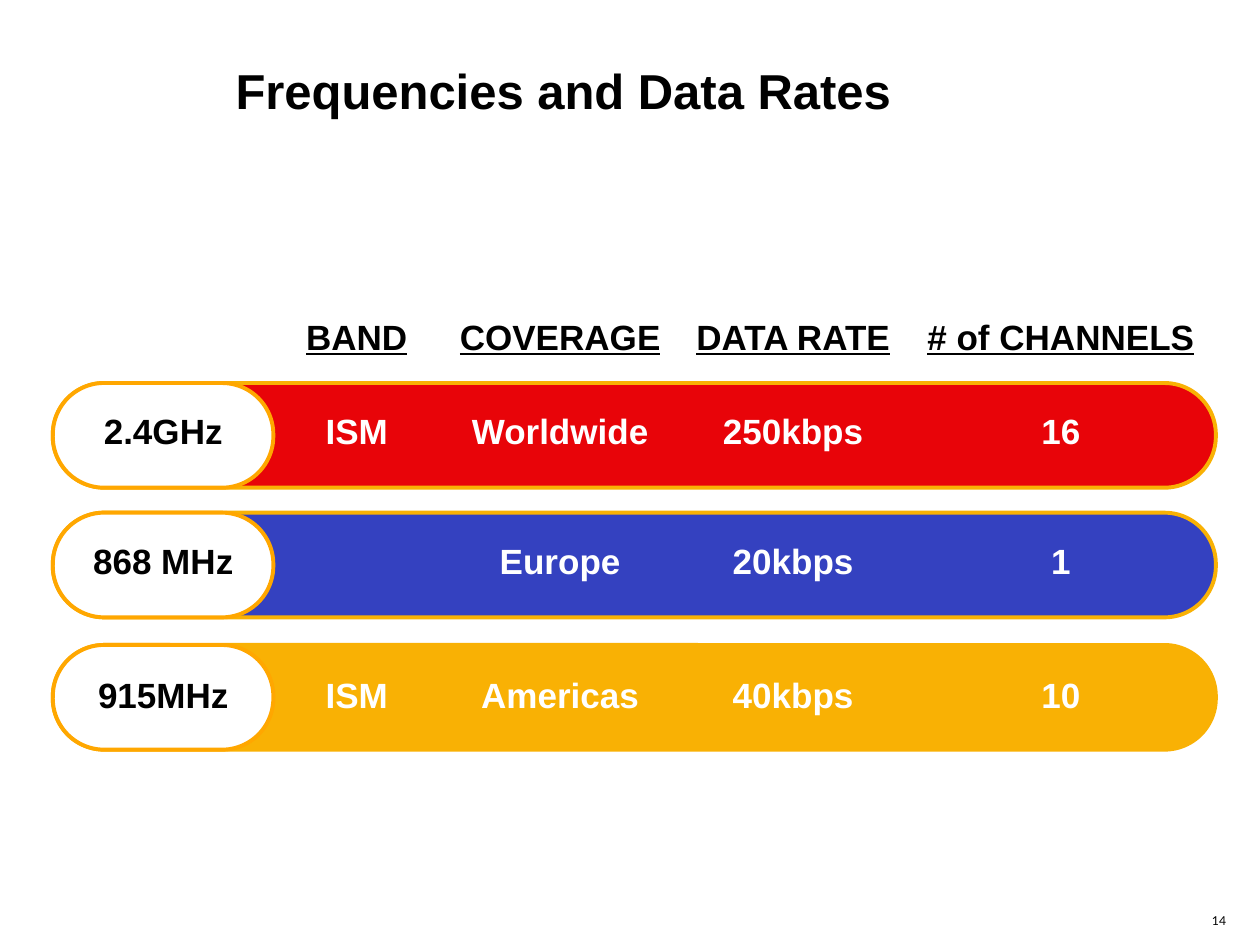
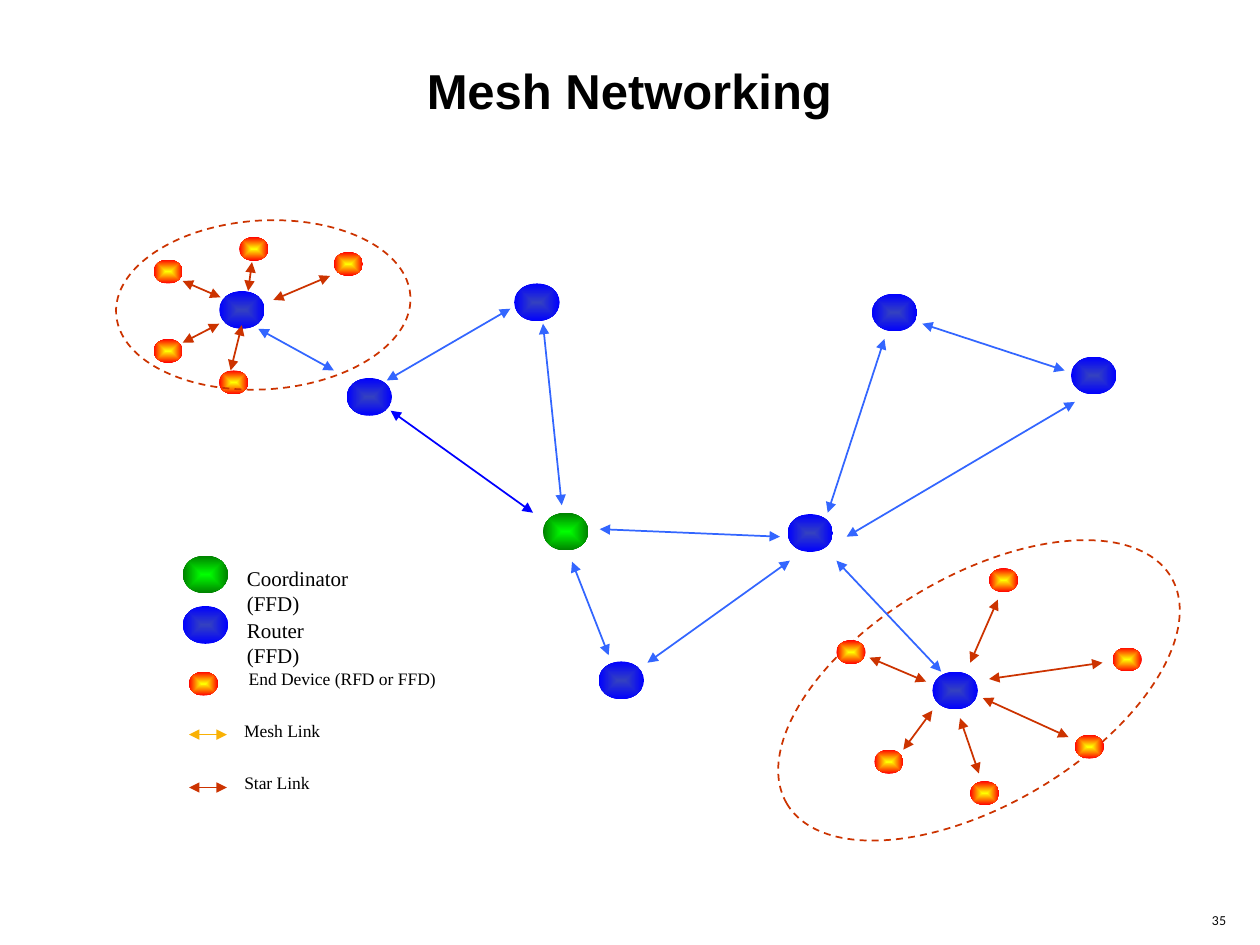
import pptx
import pptx.dml.color
import pptx.enum.dml
import pptx.enum.shapes
import pptx.enum.text
import pptx.oxml.ns
import pptx.util
from lxml import etree

Pt = pptx.util.Pt
Kind = pptx.enum.shapes.MSO_SHAPE
Align = pptx.enum.text.PP_ALIGN
Anchor = pptx.enum.text.MSO_ANCHOR
qn = pptx.oxml.ns.qn

BLACK, WHITE = "000000", "FFFFFF"
RED, BLUE, GOLD, AMBER = "E80409", "3441C0", "F9B104", "FFA700"
MESH, TRUNK, STAR = "3366FF", "0000FF", "CC3300"
NO_GRID = "{2D5ABB26-0587-4C30-8999-92F81FD0307C}"

# Node styles: width, height, inner colour, outer colour
ROUTER = (26, 21.6, BLUE, "0000FF")
COORD = (26, 21.6, "00FF00", "008000")
DEVICE = (16.6, 13.7, "FFFF00", "FF0000")


def rgb(code):
    return pptx.dml.color.RGBColor.from_string(code)


class Deck:
    head, body, foot = "Arial", "Times New Roman", "Lato"

    def __init__(self):
        self.prs = pptx.Presentation()
        self.prs.slide_width, self.prs.slide_height = Pt(720), Pt(540)
        self.slide = None

    def style(self, para, size, face, color=BLACK, bold=False, align=Align.LEFT):
        para.alignment = align
        font = para.font
        font.size, font.name, font.bold = Pt(size), face, bold
        font.color.rgb = rgb(color)

    def page(self, title, left, align, number):
        self.slide = self.prs.slides.add_slide(self.prs.slide_layouts[5])
        box = self.slide.shapes.title
        box.left, box.top, box.width, box.height = Pt(left), Pt(15), Pt(578), Pt(72.7)
        frame = box.text_frame
        frame.text = title
        frame.auto_size = pptx.enum.text.MSO_AUTO_SIZE.NONE
        frame.vertical_anchor = Anchor.MIDDLE
        self.style(frame.paragraphs[0], 28, self.head, bold=True, align=align)
        foot = self.text(number, 680.4, 514, 32.4, 23.8, 7, self.foot, Align.CENTER)
        foot.word_wrap = True
        foot.vertical_anchor = Anchor.MIDDLE

    def text(self, words, left, top, width, height, size, face, align=Align.LEFT):
        box = self.slide.shapes.add_textbox(Pt(left), Pt(top), Pt(width), Pt(height))
        frame = box.text_frame
        frame.text = words
        frame.word_wrap = False
        self.style(frame.paragraphs[0], size, face, align=align)
        return frame

    def shape(self, kind, left, top, width, height):
        item = self.slide.shapes.add_shape(kind, Pt(left), Pt(top), Pt(width), Pt(height))
        item.shadow.inherit = False
        return item

    def pill(self, top, width, fill, edge):
        item = self.shape(Kind.ROUNDED_RECTANGLE, 30.2, top, width, 59.8)
        item.adjustments[0] = 0.49
        item.fill.solid()
        item.fill.fore_color.rgb = rgb(fill)
        item.line.color.rgb = rgb(edge)
        item.line.width = Pt(2.25)

    def node(self, look, left, top):
        width, height, *colors = look
        item = self.shape(Kind.OVAL, left, top, width, height)
        item.line.fill.background()
        item.fill.gradient()
        for stop, color in zip(item.fill.gradient_stops, colors):
            stop.color.rgb = rgb(color)
        # Make the gradient spread from the centre
        grad = item.fill._xPr.find(qn("a:gradFill"))
        grad.remove(grad.find(qn("a:lin")))
        spread = etree.SubElement(grad, qn("a:path"), {"path": "rect"})
        sides = dict.fromkeys("ltrb", "50000")
        etree.SubElement(spread, qn("a:fillToRect"), sides)

    def ring(self, left, top, width, height, turn):
        item = self.shape(Kind.OVAL, left, top, width, height)
        item.rotation = turn
        item.fill.background()
        item.line.color.rgb = rgb(STAR)
        item.line.width = Pt(1)
        item.line.dash_style = pptx.enum.dml.MSO_LINE.DASH

    def link(self, color, *ends):
        item = self.slide.shapes.add_connector(
            pptx.enum.shapes.MSO_CONNECTOR.STRAIGHT, *map(Pt, ends))
        item.line.color.rgb = rgb(color)
        item.line.width = Pt(1)
        for tag in ("a:headEnd", "a:tailEnd"):
            etree.SubElement(item.line._ln, qn(tag), {"type": "triangle"})
        etree.SubElement(item._element.spPr, qn("a:effectLst"))

    def table(self, rows, left, top, widths, heights):
        item = self.slide.shapes.add_table(
            len(rows), len(widths), Pt(left), Pt(top), Pt(sum(widths)), Pt(sum(heights)))
        grid = item.table
        grid.first_row = grid.horz_banding = False
        grid._tbl.tblPr.find(qn("a:tableStyleId")).text = NO_GRID
        for col, width in zip(grid.columns, widths):
            col.width = Pt(width)
        for row, height in zip(grid.rows, heights):
            row.height = Pt(height)
        for r, row in enumerate(rows):
            for c, words in enumerate(row):
                cell = grid.cell(r, c)
                cell.fill.background()
                cell.vertical_anchor = Anchor.MIDDLE
                cell.text = words
                para = cell.text_frame.paragraphs[0]
                color = WHITE if r and c else BLACK
                self.style(para, 20, self.head, color, True, Align.CENTER)
                para.font.underline = r == 0


def rates(deck):
    deck.page("Frequencies and Data Rates", 127.4, Align.LEFT, "14")
    # Frequency bars with white caps
    for top, fill in ((218.9, RED), (293, BLUE), (368.6, GOLD)):
        deck.pill(top, 664.6, fill, GOLD)
        deck.pill(top, 126, WHITE, AMBER)
    # Values over the bars
    rows = [
        ("", "BAND", "COVERAGE", "DATA RATE", "# of CHANNELS"),
        ("2.4GHz", "ISM", "Worldwide", "250kbps", "16"),
        ("868 MHz", "", "Europe", "20kbps", "1"),
        ("915MHz", "ISM", "Americas", "40kbps", "10"),
    ]
    deck.table(rows, 31, 167.8, (124.6, 96.5, 136, 130.3, 175.7), (51, 57, 90.7, 62.6))


def mesh(deck):
    deck.page("Mesh Networking", 70.6, Align.CENTER, "35")
    deck.ring(432, 329, 254.9, 131, 329.5)

    # Network nodes
    nodes = [
        (COORD, [(310.3, 293)]),
        (ROUTER, [(532.8, 383.8), (125.3, 166.3), (198, 216), (293.8, 162),
                  (498.2, 167.8), (612, 203.8), (450, 293.8), (342, 378)]),
        (DEVICE, [(614.2, 419.8), (565.2, 324.7), (499.7, 428.4), (635.8, 370),
                  (478, 365.8), (554.4, 446.4), (87.8, 193.7), (125.3, 211.7),
                  (136.8, 135.4), (190.8, 144), (87.8, 148.3)]),
    ]
    for look, spots in nodes:
        for spot in spots:
            deck.node(look, *spot)
    deck.ring(66.2, 126, 168.5, 96.5, 356.5)

    # Links between nodes
    links = {
        MESH: [(370, 378.7, 451.4, 320.4), (473, 293, 505.4, 193.7),
               (608.4, 211.7, 527, 185), (537.8, 383.8, 478, 320.4),
               (326.9, 321, 347.8, 374.4), (310.3, 185, 321, 288.7),
               (291.6, 176.4, 221, 217.4), (147.6, 187.9, 190.8, 211.7),
               (342.7, 302.4, 445.7, 306.7), (483.8, 306.7, 614.2, 229.7)],
        TRUNK: [(223.2, 234.7, 304.6, 293)],
        STAR: [(516.2, 428.4, 532.8, 406), (559.4, 442, 548.6, 410.4),
               (610.6, 421.2, 561.6, 398.9), (630, 378.7, 565.2, 388),
               (570.2, 342.7, 554.4, 378.7), (496.8, 375.8, 529.2, 389.5),
               (104.4, 160.6, 126, 169.9), (104.4, 195.8, 125.3, 185),
               (141.8, 166.3, 144, 149.8), (156.2, 171.4, 188.6, 157.7),
               (131.8, 211.7, 138.2, 185.8)],
    }
    for color, paths in links.items():
        for ends in paths:
            deck.link(color, *ends)

    # Legend
    deck.node(COORD, 104.4, 317.5)
    deck.node(ROUTER, 104.4, 346.3)
    deck.node(DEVICE, 108, 383.8)
    for color, y in ((GOLD, 419.8), (STAR, 450)):
        deck.link(color, 108, y, 129.6, y)
    labels = [
        ("Coordinator (FFD)", 134, 319.7, 105, 12),
        ("Router (FFD)", 134, 349.2, 79.8, 12),
        ("End Device (RFD or FFD)", 135, 378, 121.3, 10),
        ("Mesh Link", 132.5, 408.2, 57.6, 10),
        ("Star Link", 132.5, 437.8, 51.8, 10),
    ]
    for words, left, top, width, size in labels:
        deck.text(words, left, top, width, size + 9.5, size, deck.body)


def main():
    deck = Deck()
    rates(deck)
    mesh(deck)
    deck.prs.save("out.pptx")


if __name__ == "__main__":
    main()
